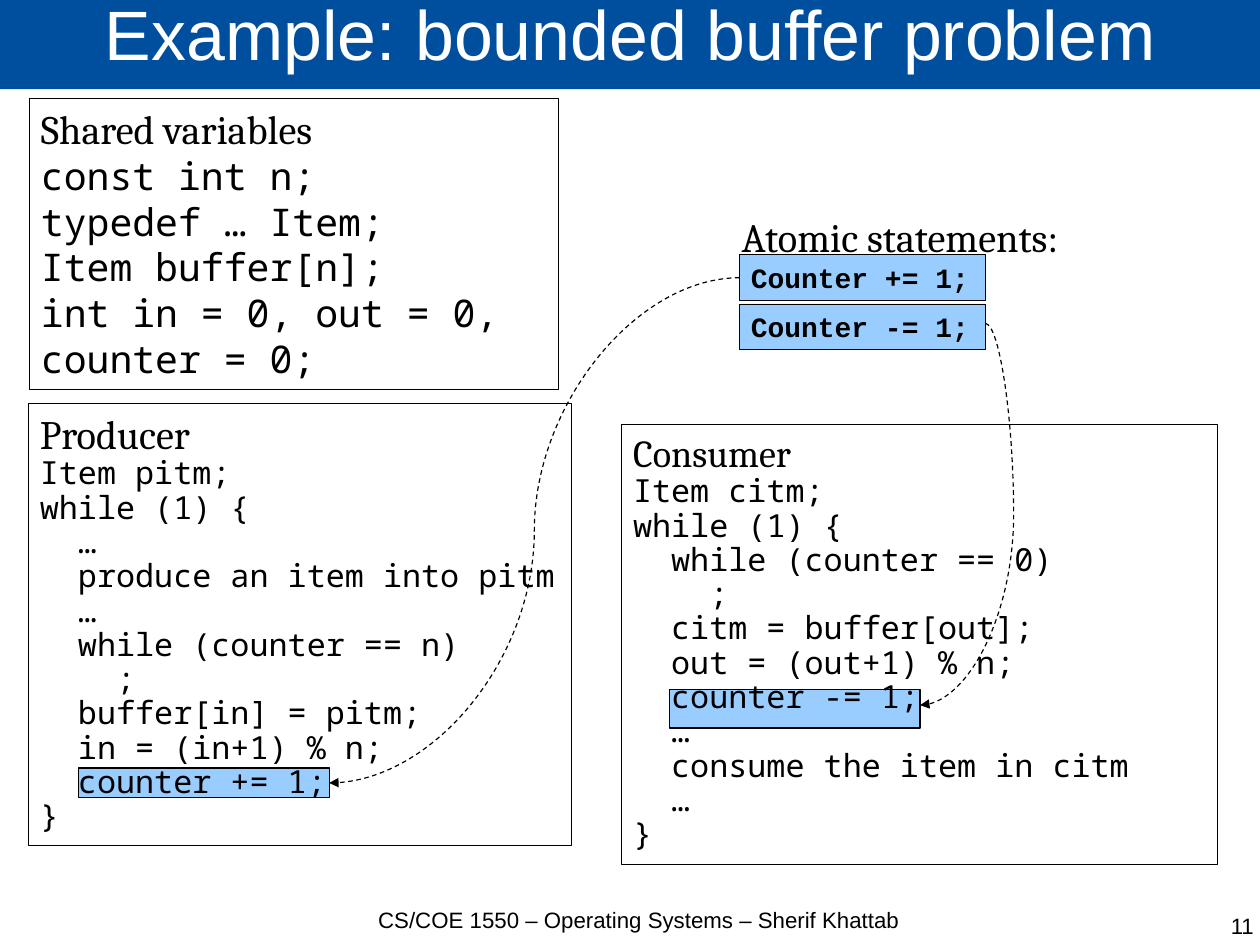
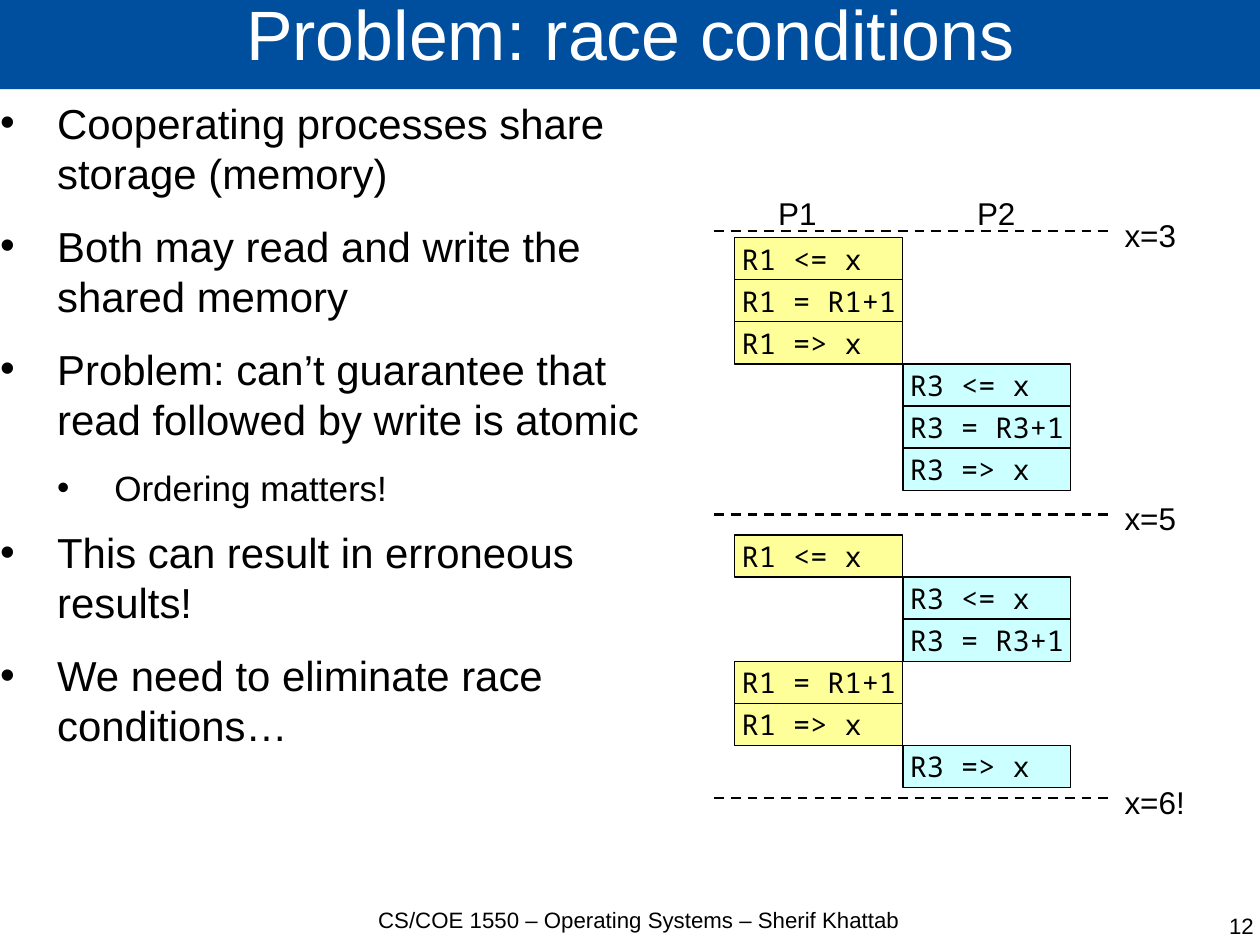
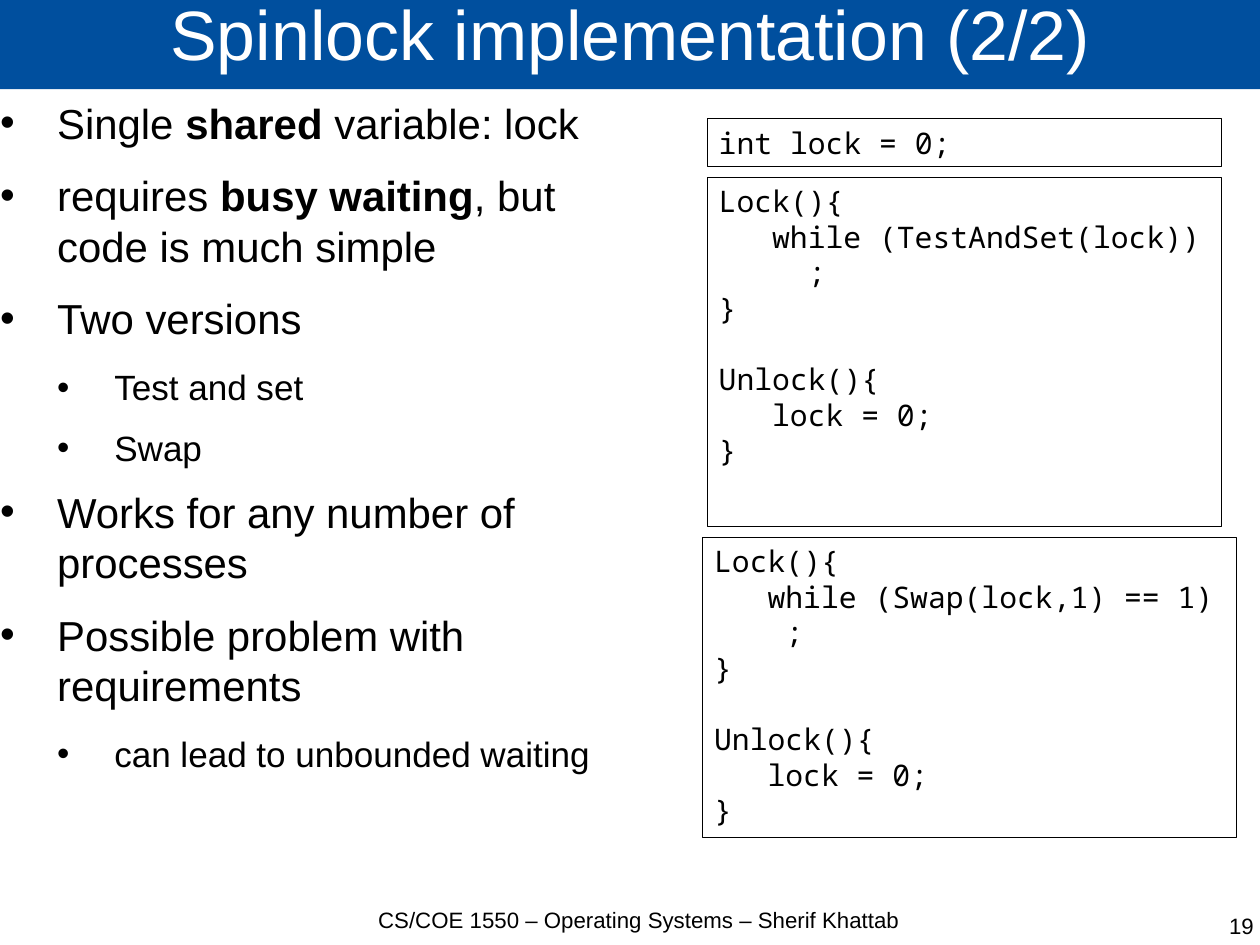
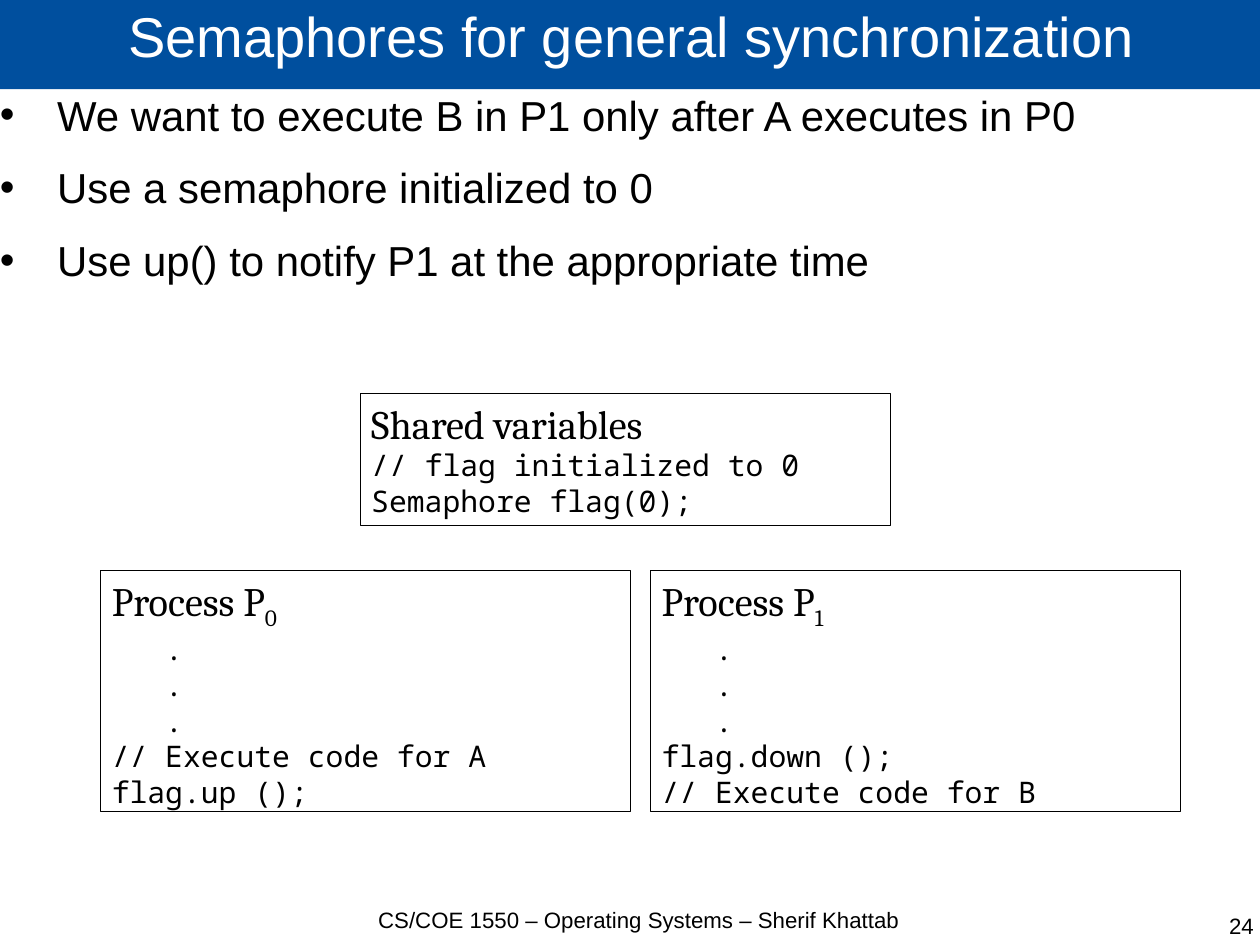
"""Builds four operating systems slides on shared data and synchronization."""
from lxml.etree import SubElement
from pptx import Presentation
from pptx.dml.color import RGBColor
from pptx.enum.dml import MSO_LINE_DASH_STYLE as Dash
from pptx.enum.shapes import MSO_CONNECTOR as Link, MSO_SHAPE as Shape
from pptx.enum.text import MSO_ANCHOR as Anchor, PP_ALIGN as Align
from pptx.oxml.ns import qn
from pptx.util import Cm, Pt

PX = 9144
SLIDE_SIZE = Cm(28), Cm(21)
COLORS = {"band": "004F9E", "title": "FFFFFF", "ink": "000000",
          "atomic": "99CCFF", "P1": "FFFF99", "P2": "CCFFFF"}
SANS, SERIF, MONO, BOLD_MONO = "Arial", "Cambria", "Noto Sans Mono", "Courier New"
MONO_ADVANCE, LINE_HEIGHT = 0.6, 1.2
FOOTER = "CS/COE 1550 – Operating Systems – Sherif Khattab"
BULLET_LEVELS = [(26.4, 14.2), (22.1, 11.4)]
BULLET_INDENT = 50
BOX_INSET = (10, 5, 10, 5)

SHARED_VARIABLES = [[(0, "const int n;"), (0, "typedef … Item;"), (0, "Item buffer[n];"),
                     (0, "int in = 0, out = 0,"), (0, "counter = 0;")]]
PRODUCER = [[(0, "Item pitm;"), (0, "while (1) {"), (2, "…"),
             (2, "produce an item into pitm"), (2, "…"), (2, "while (counter == n)"),
             (4, ";"), (2, "buffer[in] = pitm;"), (2, "in = (in+1) % n;"),
             (2, "counter += 1;"), (0, "}")]]
CONSUMER = [[(0, "Item citm;"), (0, "while (1) {"), (2, "while (counter == 0)"),
             (4, ";"), (2, "citm = buffer[out];"), (2, "out = (out+1) % n;"),
             (2, "counter -= 1;"), (2, "…"), (2, "consume the item in citm"),
             (2, "…"), (0, "}")]]
ATOMIC_STATEMENTS = ["Counter += 1;", "Counter -= 1;"]
ATOMIC_USES = [(69, 672, 219, 26), (586, 603, 219, 34)]
ATOMIC_ARROWS = [((647, 243), (288, 685), 50000), ((862, 283), (805, 617), -43700)]

RACE_BULLETS = [
    (0, ["Cooperating processes share storage (memory)"]),
    (0, ["Both may read and write the shared memory"]),
    (0, ["Problem: can’t guarantee that read followed by write is atomic"]),
    (1, ["Ordering matters!"]),
    (0, ["This can result in erroneous results!"]),
    (0, ["We need to eliminate race conditions…"])]
PROCESS_COLUMNS = {"P1": (643, 671), "P2": (790, 845)}
SCHEDULES = [
    (208, [("P1", "R1 <= x"), ("P1", "R1 = R1+1"), ("P1", "R1 => x"),
           ("P2", "R3 <= x"), ("P2", "R3 = R3+1"), ("P2", "R3 => x")]),
    (468, [("P1", "R1 <= x"), ("P2", "R3 <= x"), ("P2", "R3 = R3+1"),
           ("P1", "R1 = R1+1"), ("P1", "R1 => x"), ("P2", "R3 => x")])]
X_VALUES = ["x=3", "x=5", "x=6!"]
STEP_WIDTH, STEP_PITCH = 147, 36.8

SPINLOCK_BULLETS = [
    (0, ["Single ", "shared", " variable: lock"]),
    (0, ["requires ", "busy waiting", ", but code is much simple"]),
    (0, ["Two versions"]),
    (1, ["Test and set"]),
    (1, ["Swap"]),
    (0, ["Works for any number of processes"]),
    (0, ["Possible problem with requirements"]),
    (1, ["can lead to unbounded waiting"])]
UNLOCK = [(0, "Unlock(){"), (3, "lock = 0;"), (0, "}")]
SPINLOCKS = [
    ((619, 155, 450, 306),
     [[(0, "Lock(){"), (3, "while (TestAndSet(lock))"), (5, ";"), (0, "}")], UNLOCK]),
    ((615, 470, 467, 263),
     [[(0, "Lock(){"), (3, "while (Swap(lock,1) == 1)"), (4, ";"), (0, "}")], UNLOCK]),
    ((619, 104, 450, 42), [[(0, "int lock = 0;")]])]

SEMAPHORE_BULLETS = [
    (0, ["We want to execute B in P1 only after A executes in P0"]),
    (0, ["Use a semaphore initialized to 0"]),
    (0, ["Use up() to notify P1 at the appropriate time"])]
FLAG = [[(0, "// flag initialized to 0"), (0, "Semaphore flag(0);")]]
DOTS = [(3, ".")] * 3
PROCESSES = [("0", ["// Execute code for A", "flag.up ();"]),
             ("1", ["flag.down ();", "// Execute code for B"])]


def px(*lengths):
    return [round(length * PX) for length in lengths]


def color(name):
    return RGBColor.from_string(COLORS[name])


def add_run(paragraph, text, size, font=SANS, ink="ink", bold=False, subscript=False):
    run = paragraph.add_run()
    run.text = text
    run.font.size, run.font.name, run.font.bold = Pt(size), font, bold
    run.font.color.rgb = color(ink)
    if subscript:
        run.font._element.set("baseline", "-25000")


def set_frame(frame, inset, anchor=Anchor.TOP, wrap=True):
    frame.margin_left, frame.margin_top, frame.margin_right, frame.margin_bottom = px(*inset)
    frame.vertical_anchor, frame.word_wrap = anchor, wrap
    frame.paragraphs[0].alignment = Align.LEFT
    return frame


def add_text(slide, at, inset=BOX_INSET, wrap=True):
    return set_frame(slide.shapes.add_textbox(*px(*at)).text_frame, inset, wrap=wrap)


def add_box(slide, at, fill=None, line=0.5, inset=BOX_INSET, anchor=Anchor.TOP, wrap=True):
    box = slide.shapes.add_shape(Shape.RECTANGLE, *px(*at))
    box.shadow.inherit = False
    if fill:
        box.fill.solid()
        box.fill.fore_color.rgb = color(fill)
    else:
        box.fill.background()
    if line:
        box.line.color.rgb, box.line.width = color("ink"), Pt(line)
    else:
        box.line.fill.background()
    return set_frame(box.text_frame, inset, anchor, wrap)


def add_dashed_line(slide, start, end, width, kind=Link.STRAIGHT):
    connector = slide.shapes.add_connector(kind, *px(*start, *end))
    connector.line.color.rgb, connector.line.width = color("ink"), Pt(width)
    connector.line.dash_style = Dash.DASH
    SubElement(connector._element.spPr, qn("a:effectLst"))
    return connector


def add_curved_arrow(slide, start, end, bend):
    arrow = add_dashed_line(slide, start, end, 0.75, Link.CURVE)
    SubElement(arrow.line._get_or_add_ln(), qn("a:tailEnd"), type="triangle")
    guides = arrow._element.spPr.find(qn("a:prstGeom")).get_or_add_avLst()
    SubElement(guides, qn("a:gd"), name="adj1", fmla=f"val {bend}")


def next_paragraph(frame):
    first = frame.paragraphs[0]
    paragraph = frame.add_paragraph() if first.runs else first
    paragraph.alignment = Align.LEFT
    return paragraph


def add_code(slide, at, groups, size, heading="", subscript="", heading_size=25.4, spacing=1.0):
    frame = add_box(slide, at)
    if heading:
        title = next_paragraph(frame)
        add_run(title, heading, heading_size, SERIF)
        if subscript:
            add_run(title, subscript, heading_size, SERIF, subscript=True)
    for group_index, group in enumerate(groups):
        for line_index, (indent, text) in enumerate(group):
            line = next_paragraph(frame)
            line.line_spacing = spacing
            if group_index and not line_index:
                line.space_before = Pt(size * LINE_HEIGHT)
            if indent:
                line._p.get_or_add_pPr().set("marL", str(Pt(indent * MONO_ADVANCE * size)))
            add_run(line, text, size, MONO)


def add_bullets(slide, at, bullets):
    frame = add_text(slide, at, (0, 0, 0, 0))
    for level, texts in bullets:
        size, after = BULLET_LEVELS[level]
        paragraph = next_paragraph(frame)
        paragraph.space_after = Pt(after)
        properties = paragraph._p.get_or_add_pPr()
        properties.set("marL", str(BULLET_INDENT * (level + 1) * PX))
        properties.set("indent", str(-BULLET_INDENT * PX))
        SubElement(properties, qn("a:buFont"), typeface=SANS)
        SubElement(properties, qn("a:buChar"), char="•")
        for index, text in enumerate(texts):
            add_run(paragraph, text, size, bold=index % 2 == 1)


def add_slide(deck, title, number, title_size=44):
    slide = deck.slides.add_slide(deck.slide_layouts[6])
    band = add_box(slide, (0, -2, 1104, 80), "band", 0, (0, 0, 0, 0), Anchor.MIDDLE)
    heading = band.paragraphs[0]
    heading.alignment, heading.line_spacing = Align.CENTER, 0.69
    add_run(heading, title, title_size, ink="title")
    for at, text, alignment in [((307, 793, 504, 30), FOOTER, Align.CENTER),
                                ((844, 798, 253, 28), number, Align.RIGHT)]:
        paragraph = add_text(slide, at, (0, 0, 0, 0)).paragraphs[0]
        paragraph.alignment = alignment
        add_run(paragraph, text, 14)
    return slide


def add_bounded_buffer(deck):
    slide = add_slide(deck, "Example: bounded buffer problem", "11")
    for at in ATOMIC_USES:
        add_box(slide, at, "atomic", 0.75)
    add_code(slide, (26, 86, 463, 255), SHARED_VARIABLES, 24, "Shared variables")
    add_run(add_text(slide, (639, 181, 396, 53)).paragraphs[0], "Atomic statements:", 25.4, SERIF)
    for index, statement in enumerate(ATOMIC_STATEMENTS):
        box = add_box(slide, (647, 223 + 43 * index, 215, 40), "atomic", wrap=False)
        add_run(box.paragraphs[0], statement, 17.6, BOLD_MONO, bold=True)
    for start, end, bend in ATOMIC_ARROWS:
        add_curved_arrow(slide, start, end, bend)
    add_code(slide, (544, 371, 521, 385), CONSUMER, 20, "Consumer", heading_size=24, spacing=0.9)
    add_code(slide, (25, 353, 475, 387), PRODUCER, 20, "Producer", spacing=0.9)


def add_race_conditions(deck):
    slide = add_slide(deck, "Problem: race conditions", "12")
    add_bullets(slide, (0, 85, 578, 712), RACE_BULLETS)
    for process, (_, label_left) in PROCESS_COLUMNS.items():
        label = add_text(slide, (label_left, 165, 54, 43), wrap=False)
        add_run(label.paragraphs[0], process, 19.8)
    for top, steps in SCHEDULES:
        for index, (process, step) in enumerate(steps):
            at = (PROCESS_COLUMNS[process][0], top + STEP_PITCH * index, STEP_WIDTH, STEP_PITCH)
            cell = add_box(slide, at, process, 0.75, (6, 5, 6, 5), Anchor.MIDDLE, False)
            add_run(cell.paragraphs[0], step, 18, MONO)
    for index, value in enumerate(X_VALUES):
        y = 202 + 248 * index
        add_dashed_line(slide, (625, y), (974, y), 1.5)
        label = add_text(slide, (974, y - 18, 73 if "!" in value else 66, 43), wrap=False)
        add_run(label.paragraphs[0], value, 19.8)


def add_spinlock(deck):
    slide = add_slide(deck, "Spinlock implementation (2/2)", "19")
    add_bullets(slide, (0, 85, 551, 712), SPINLOCK_BULLETS)
    for at, groups in SPINLOCKS:
        add_code(slide, at, groups, 18.7)


def add_semaphores(deck):
    slide = add_slide(deck, "Semaphores for general synchronization", "24", 35.3)
    add_bullets(slide, (0, 78, 1104, 718), SEMAPHORE_BULLETS)
    for index, (process, statements) in enumerate(PROCESSES):
        lines = DOTS + [(0, statement) for statement in statements]
        add_code(slide, (88 + 481 * index, 499, 464, 211), [lines], 18.7, "Process P", process)
    add_code(slide, (315, 344, 464, 116), FLAG, 18.7, "Shared variables")


def main():
    deck = Presentation()
    deck.slide_width, deck.slide_height = SLIDE_SIZE
    add_bounded_buffer(deck)
    add_race_conditions(deck)
    add_spinlock(deck)
    add_semaphores(deck)
    deck.save("out.pptx")


if __name__ == "__main__":
    main()
